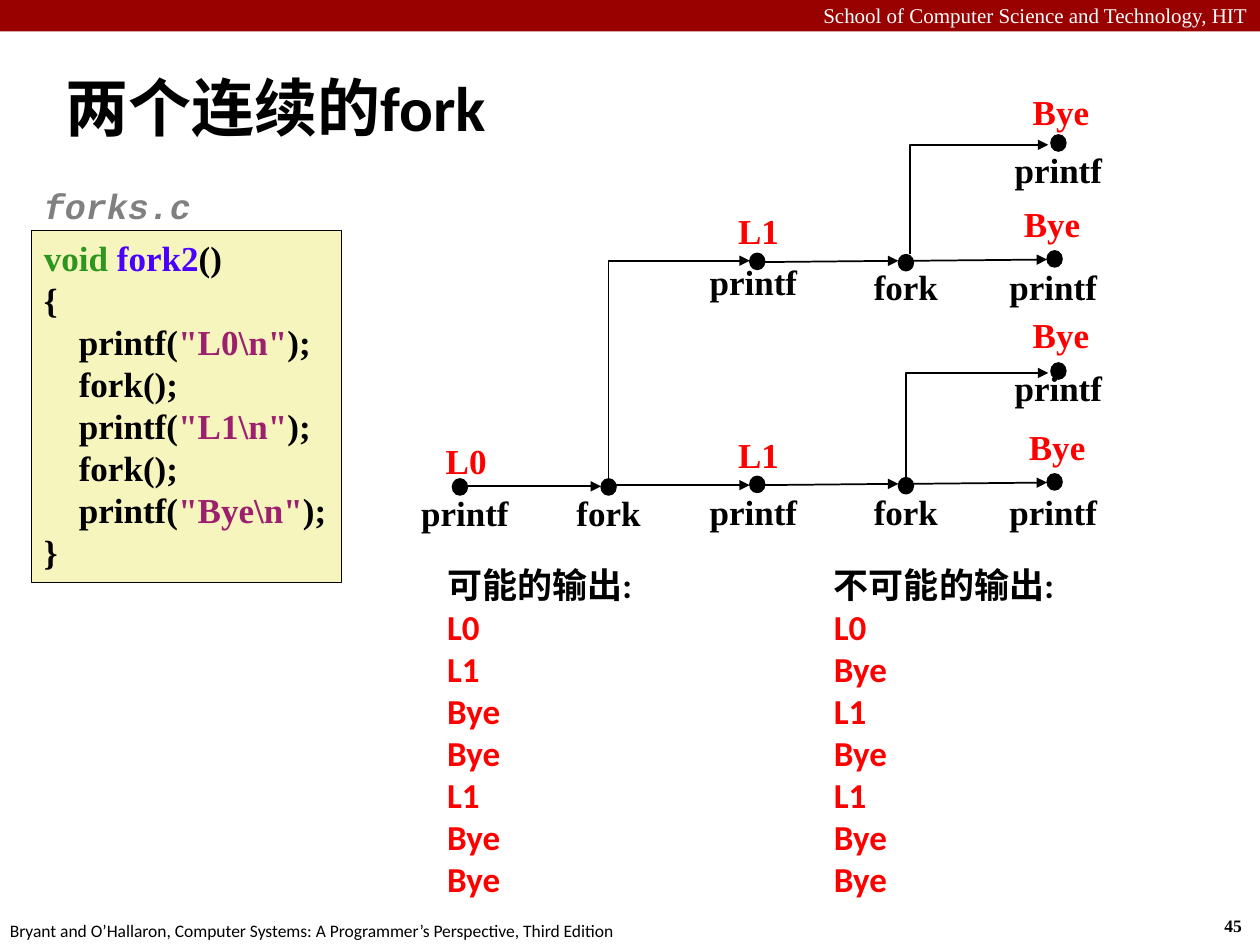
from pptx import Presentation
from pptx.dml.color import RGBColor
from pptx.enum.shapes import MSO_CONNECTOR, MSO_SHAPE
from pptx.enum.text import MSO_ANCHOR, PP_ALIGN
from pptx.oxml.ns import qn
from pptx.util import Inches, Pt
from lxml.etree import SubElement

BLACK = RGBColor(0x00, 0x00, 0x00)
WHITE = RGBColor(0xFF, 0xFF, 0xFF)
RED = RGBColor(0xFF, 0x00, 0x00)
MAROON = RGBColor(0x99, 0x00, 0x00)
CREAM = RGBColor(0xF6, 0xF5, 0xBD)
GREEN = RGBColor(0x2D, 0x96, 0x1E)
BLUE = RGBColor(0x4A, 0x00, 0xFF)
PLUM = RGBColor(0x9D, 0x20, 0x6F)
GRAY = RGBColor(0x80, 0x80, 0x80)

COLS, ROWS = 100, 75
SERIF = {"name": "Times New Roman", "size": Pt(20), "bold": True}
SANS = SERIF | {"name": "Calibri"}
MONO = SERIF | {"name": "Courier New", "italic": True}
TIGHT = {"line_spacing": Pt(24)}


class Board:
    def __init__(self, deck):
        self.wide = deck.slide_width / COLS
        self.high = deck.slide_height / ROWS
        self.shapes = deck.slides.add_slide(deck.slide_layouts[6]).shapes

    def grid(self, *spots):
        units = (self.wide, self.high)
        return [round(spot * units[i % 2]) for i, spot in enumerate(spots)]

    def block(self, kind, area, fill, edge=None):
        shape = self.shapes.add_shape(kind, *self.grid(*area))
        shape.shadow.inherit = False
        shape.fill.solid()
        shape.fill.fore_color.rgb = fill
        if edge:
            shape.line.color.rgb = BLACK
            shape.line.width = Pt(edge)
        else:
            shape.line.fill.background()
        return shape

    def dot(self, left, top):
        self.block(MSO_SHAPE.OVAL, (left, top, 1.2, 1.3), BLACK, 0.75)

    def fill_text(self, frame, lines, font, para=None, wrap=True):
        frame.word_wrap = wrap
        for i, line in enumerate(lines):
            item = frame.paragraphs[0] if i == 0 else frame.add_paragraph()
            for key, value in ({"alignment": PP_ALIGN.LEFT} | (para or {})).items():
                setattr(item, key, value)
            for words, color in line:
                run = item.add_run()
                run.text = words
                for key, value in font.items():
                    setattr(run.font, key, value)
                run.font.color.rgb = color

    def text(self, area, lines, font, para=None, wrap=True):
        frame = self.shapes.add_textbox(*self.grid(*area)).text_frame
        self.fill_text(frame, lines, font, para, wrap)
        return frame

    def label(self, words, color, mid, top):
        para = TIGHT | {"alignment": PP_ALIGN.CENTER}
        self.text((mid - 6, top, 12, 5.5), [[(words, color)]], SERIF, para)

    def arrow(self, start, end, kind=MSO_CONNECTOR.STRAIGHT):
        link = self.shapes.add_connector(kind, *self.grid(*start, *end))
        link.line.color.rgb = BLACK
        link.line.width = Pt(1)
        props = link._element.spPr
        SubElement(props.find(qn("a:ln")), qn("a:tailEnd"), type="triangle")
        SubElement(props, qn("a:effectLst"))
        return props

    def bend(self, start, end):
        mid_x, mid_y = [(a + b) / 2 for a, b in zip(start, end)]
        half_w, half_h = (end[0] - start[0]) / 2, (start[1] - end[1]) / 2
        props = self.arrow((mid_x + half_h, mid_y + half_w),
                           (mid_x - half_h, mid_y - half_w), MSO_CONNECTOR.ELBOW)
        props.find(qn("a:prstGeom")).set("prst", "bentConnector2")
        props.find(qn("a:xfrm")).set("rot", "5400000")


def call(words):
    return [("    printf(", BLACK), (f'"{words}\\n"', PLUM), (");", BLACK)]


def frame_page(board):
    board.block(MSO_SHAPE.RECTANGLE, (0, 0, 100, 2.5), MAROON)
    plain = {"bold": False}
    board.text((0, -0.3, 100, 3), [[("School of Computer Science and Technology, HIT", WHITE)]],
               SERIF | plain | {"size": Pt(12)}, {"alignment": PP_ALIGN.RIGHT})
    board.text((96.2, 72.1, 3.7, 2.7), [[("45", BLACK)]], SERIF | {"size": Pt(10)}, wrap=False)
    credit = "Bryant and O’Hallaron, Computer Systems: A Programmer’s Perspective, Third Edition"
    board.text((-0.2, 72.5, 50.8, 2.7), [[(credit, BLACK)]],
               SANS | plain | {"size": Pt(10)}, wrap=False)
    title = board.text((4.2, 3.3, 93.3, 10.3), [[("两个连续的fork", BLACK)]], SANS | {"size": Pt(36)})
    title.vertical_anchor = MSO_ANCHOR.MIDDLE


def show_code(board):
    fork = [("    fork();", BLACK)]
    lines = [[("void ", GREEN), ("fork2", BLUE), ("()", BLACK)], [("{", BLACK)],
             call("L0"), fork, call("L1"), fork, call("Bye"), [("}", BLACK)]]
    box = board.block(MSO_SHAPE.RECTANGLE, (2.5, 18.3, 24.6, 27.9), CREAM, 0.25)
    box.text_frame.vertical_anchor = MSO_ANCHOR.TOP
    board.fill_text(box.text_frame, lines, SERIF, TIGHT, False)
    board.text((2.5, 14.4, 24.6, 4.2), [[("forks.c", GRAY)]], MONO, {"line_spacing": 0.94})


def draw_graph(board):
    first, step, rise = 35.9, 11.8, 17.7
    nodes = [first + step * i for i in range(5)]
    for left in nodes[:2]:
        board.dot(left, 38)
    for left, y in zip(nodes[:2], (38.6, 38.5)):
        board.arrow((left + 1.2, y), (left + step, y))
    board.bend((48.3, 38), (59.5, 20.7))
    for lift in (0, rise):
        for left, top in zip(nodes[2:], (37.8, 37.9, 37.6)):
            board.dot(left, top - lift)
        for left, y in zip(nodes[2:4], (38.5, 38.4)):
            board.arrow((left + 1.2, y - lift), (left + step, y - 0.1 - lift))
    for top in (28.8, 10.7):
        board.dot(83.4, top)
    board.bend((71.9, 38.4), (83.2, 29.6))
    board.bend((72.2, 20.2), (83.2, 11.5))

    marks = {
        ("printf", BLACK): [(36.9, 38.5), (59.8, 38.4), (59.8, 20.2), (83.6, 38.4),
                            (83.6, 20.6), (84, 28.6), (84, 11.3)],
        ("fork", BLACK): [(48.3, 38.5), (71.9, 38.4), (71.9, 20.6)],
        ("L0", RED): [(37, 34.4)],
        ("L1", RED): [(60.2, 33.9), (60.2, 16.1)],
        ("Bye", RED): [(84.2, 6.7), (83.5, 15.6), (84.2, 24.4), (83.9, 33.3)],
    }
    for (words, color), spots in marks.items():
        for mid, top in spots:
            board.label(words, color, mid, top)


def list_runs(board):
    runs = [(34.5, 16.8, "可能的输出:", "L0 L1 Bye Bye L1 Bye Bye"),
            (65.2, 19.6, "不可能的输出:", "L0 Bye L1 Bye L1 Bye Bye")]
    for left, width, head, words in runs:
        lines = [[(head, BLACK)]] + [[(word, RED)] for word in words.split()]
        board.text((left, 44.2, width, 27.9), lines, SANS, TIGHT, False)


def main():
    deck = Presentation()
    deck.slide_width, deck.slide_height = Inches(10), Inches(7.5)
    board = Board(deck)
    for part in (frame_page, show_code, draw_graph, list_runs):
        part(board)
    deck.save("out.pptx")


if __name__ == "__main__":
    main()
